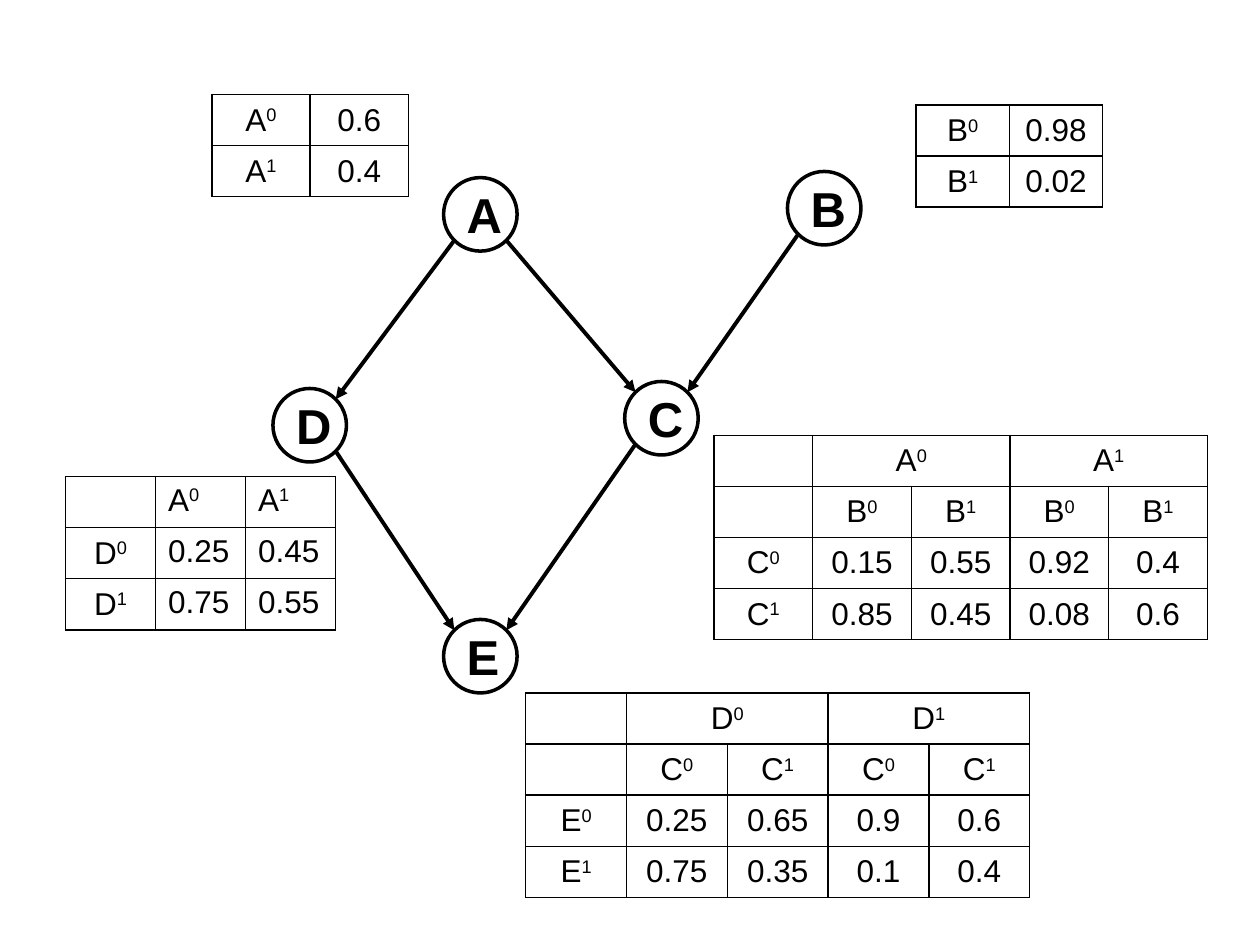
"""Draw a Bayesian network of five nodes with their probability tables."""
import math
from dataclasses import dataclass

import pptx
import pptx.dml.color
import pptx.enum.shapes
import pptx.enum.text
import pptx.oxml
import pptx.oxml.ns
import pptx.shapes.autoshape
import pptx.slide
import pptx.table
import pptx.text.text
import pptx.util
from pptx.util import Pt


@dataclass(frozen=True)
class Theme:
    ink: pptx.dml.color.RGBColor = pptx.dml.color.RGBColor(0, 0, 0)
    font: str = "Arial"
    node_size: float = 28
    table_size: float = 18
    node_line: float = 2
    arrow_line: float = 2.25
    border: float = 1


@dataclass(frozen=True)
class Node:
    label: str
    x: float
    y: float


@dataclass(frozen=True)
class ProbabilityTable:
    left: float
    top: float
    column_width: float
    rows: list[list[str | None]]
    centred_columns: int


THEME = Theme()
DIAMETER = 42
ROW_HEIGHT = 29.2
SPANNED = None

NODES = {
    node.label: node
    for node in (
        Node("A", 274.5, 122.5),
        Node("B", 471, 119),
        Node("D", 177, 243),
        Node("C", 378, 239),
        Node("E", 274.5, 375),
    )
}
EDGES = ("AD", "AC", "BC", "DE", "CE")
TABLES = (
    ProbabilityTable(121, 54, 56.2, [["A^0", "0.6"], ["A^1", "0.4"]], 2),
    ProbabilityTable(523.5, 60, 53.3, [["B^0", "0.98"], ["B^1", "0.02"]], 2),
    ProbabilityTable(37.5, 272.3, 51.4, [
        ["", "A^0", "A^1"],
        ["D^0", "0.25", "0.45"],
        ["D^1", "0.75", "0.55"],
    ], 1),
    ProbabilityTable(408, 248.7, 56.4, [
        ["", "A^0", SPANNED, "A^1", SPANNED],
        ["", "B^0", "B^1", "B^0", "B^1"],
        ["C^0", "0.15", "0.55", "0.92", "0.4"],
        ["C^1", "0.85", "0.45", "0.08", "0.6"],
    ], 5),
    ProbabilityTable(300.4, 396, 57.6, [
        ["", "D^0", SPANNED, "D^1", SPANNED],
        ["", "C^0", "C^1", "C^0", "C^1"],
        ["E^0", "0.25", "0.65", "0.9", "0.6"],
        ["E^1", "0.75", "0.35", "0.1", "0.4"],
    ], 5),
)


def set_font(paragraph: pptx.text.text._Paragraph, size: float, bold: bool = False) -> None:
    """Give a paragraph the theme's font and colour."""
    paragraph.font.name = THEME.font
    paragraph.font.size = Pt(size)
    paragraph.font.bold = bold
    paragraph.font.color.rgb = THEME.ink


def draw_node(slide: pptx.slide.Slide, node: Node) -> None:
    """Draw a labelled circle around the node's centre."""
    circle = slide.shapes.add_shape(
        pptx.enum.shapes.MSO_SHAPE.OVAL,
        Pt(node.x - DIAMETER / 2), Pt(node.y - DIAMETER / 2), Pt(DIAMETER), Pt(DIAMETER),
    )
    circle.shadow.inherit = False
    circle.fill.background()
    circle.line.color.rgb = THEME.ink
    circle.line.width = Pt(THEME.node_line)
    circle.text_frame.vertical_anchor = pptx.enum.text.MSO_ANCHOR.MIDDLE
    paragraph = circle.text_frame.paragraphs[0]
    paragraph.text = node.label
    paragraph.alignment = pptx.enum.text.PP_ALIGN.CENTER
    set_font(paragraph, THEME.node_size, bold=True)


def draw_edge(slide: pptx.slide.Slide, parent: Node, child: Node) -> None:
    """Draw an arrow between the diagonal points of two circles."""
    reach = DIAMETER / 2 * math.sqrt(0.5)
    sideways = math.copysign(reach, child.x - parent.x)
    arrow = slide.shapes.add_connector(
        pptx.enum.shapes.MSO_CONNECTOR.STRAIGHT,
        Pt(parent.x + sideways), Pt(parent.y + reach),
        Pt(child.x - sideways), Pt(child.y - reach),
    )
    arrow.line.color.rgb = THEME.ink
    arrow.line.width = Pt(THEME.arrow_line)
    properties = arrow._element.spPr
    line = properties.find(pptx.oxml.ns.qn("a:ln"))
    line.append(pptx.oxml.parse_xml(f'<a:tailEnd {pptx.oxml.ns.nsdecls("a")} type="triangle"/>'))
    properties.append(pptx.oxml.parse_xml(f'<a:effectLst {pptx.oxml.ns.nsdecls("a")}/>'))


def set_borders(cell: pptx.table._Cell) -> None:
    """Outline a cell on all four sides."""
    properties = cell._tc.get_or_add_tcPr()
    for index, side in enumerate("LRTB"):
        properties.insert(index, pptx.oxml.parse_xml(
            f'<a:ln{side} {pptx.oxml.ns.nsdecls("a")} w="{Pt(THEME.border)}">'
            f'<a:solidFill><a:srgbClr val="{THEME.ink}"/></a:solidFill></a:ln{side}>'
        ))


def write_cell(cell: pptx.table._Cell, wording: str, centred: bool) -> None:
    """Write a value, raising whatever follows a caret."""
    paragraph = cell.text_frame.paragraphs[0]
    base, _, exponent = wording.partition("^")
    if base:
        paragraph.add_run().text = base
    if exponent:
        raised = paragraph.add_run()
        raised.text = exponent
        raised._r.get_or_add_rPr().set("baseline", "30000")
    set_font(paragraph, THEME.table_size)
    if centred:
        paragraph.alignment = pptx.enum.text.PP_ALIGN.CENTER
        cell.vertical_anchor = pptx.enum.text.MSO_ANCHOR.MIDDLE


def draw_table(slide: pptx.slide.Slide, content: ProbabilityTable) -> None:
    """Draw a plain ruled table of probabilities."""
    row_count, column_count = len(content.rows), len(content.rows[0])
    table = slide.shapes.add_table(
        row_count, column_count, Pt(content.left), Pt(content.top),
        Pt(content.column_width * column_count), Pt(ROW_HEIGHT * row_count),
    ).table
    table.first_row = table.horz_banding = False
    for r, row in enumerate(content.rows):
        for c, wording in enumerate(row):
            cell = table.cell(r, c)
            cell.fill.background()
            set_borders(cell)
            if wording is SPANNED:
                table.cell(r, c - 1).merge(cell)
            else:
                write_cell(cell, wording, c < content.centred_columns)


def main() -> None:
    """Build the slide and save it."""
    presentation = pptx.Presentation()
    presentation.slide_width, presentation.slide_height = Pt(720), Pt(540)
    slide = presentation.slides.add_slide(presentation.slide_layouts[6])
    for node in NODES.values():
        draw_node(slide, node)
    for parent, child in EDGES:
        draw_edge(slide, NODES[parent], NODES[child])
    for content in TABLES:
        draw_table(slide, content)
    presentation.save("out.pptx")


if __name__ == "__main__":
    main()
